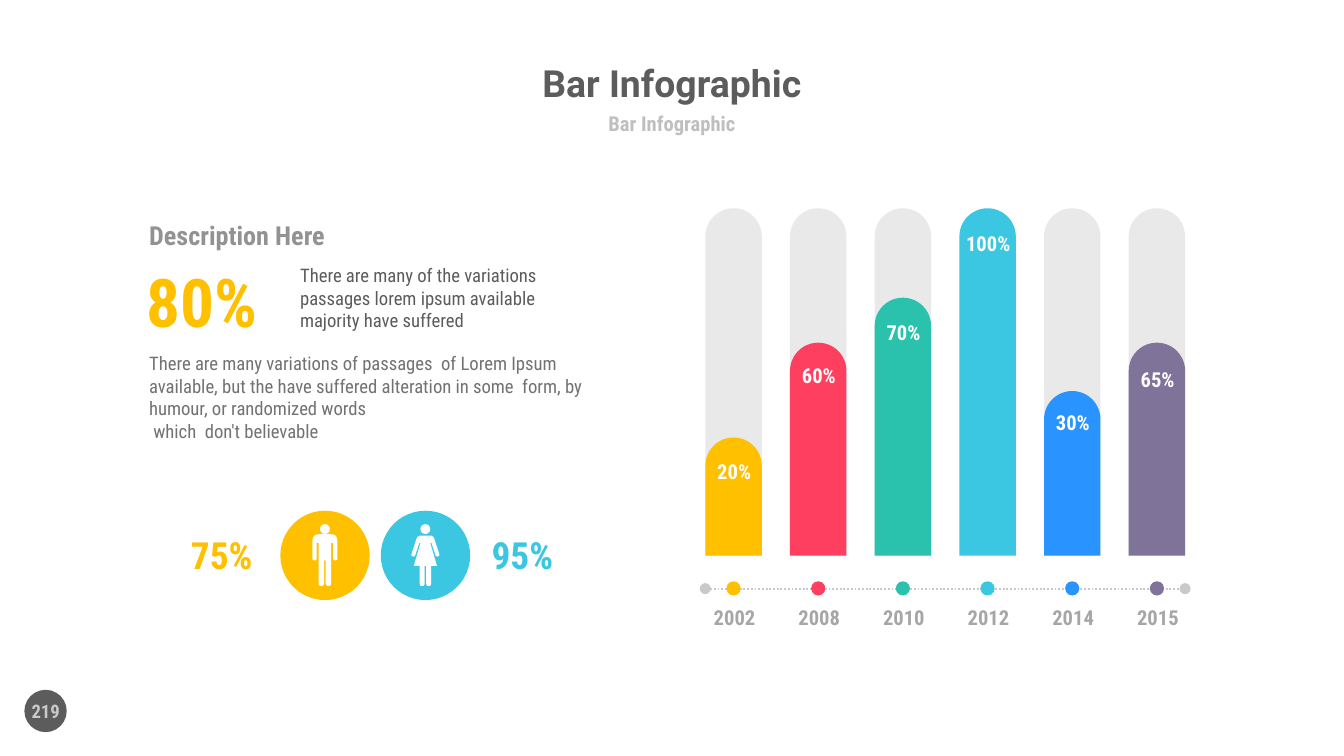
import math

from lxml import etree
from pptx import Presentation
from pptx.dml.color import RGBColor
from pptx.enum import dml, shapes, text
from pptx.oxml import ns
from pptx import util as u

THEME = {
    "yellow": "FFC000", "red": "FF3F5F", "teal": "2AC2AC", "cyan": "3BC7E2",
    "blue": "2993FF", "purple": "7F739A", "white": "FFFFFF", "track": "E9E9E9",
    "dark": "5C5C5C", "body": "727272", "heading": "929292", "year": "A6A6A6",
    "subtitle": "BFBFBF", "axis": "C9C9C9",
    "font": "Roboto Condensed", "title_font": "Roboto",
    "huge": 36, "large": 20, "medium": 14, "label": 11, "small": 10,
}
ANCHOR, ALIGN, KIND = text.MSO_ANCHOR, text.PP_ALIGN, shapes.MSO_SHAPE

prs = Presentation()
prs.slide_width = u.Inches(10)
prs.slide_height = prs.slide_width * 9 // 16
cell = prs.slide_width / 100
s = prs.slides.add_slide(prs.slide_layouts[6])


def draw(kind, box, color):
    sp = s.shapes.add_shape(kind, *[round(v * cell) for v in box])
    sp.shadow.inherit = False
    sp.fill.solid()
    sp.fill.fore_color.rgb = RGBColor.from_string(THEME[color])
    sp.line.fill.background()
    return sp


def write(words, box, size, color, align=ALIGN.CENTER, anchor=ANCHOR.MIDDLE,
          bold=True, font="font"):
    tf = s.shapes.add_textbox(*[round(v * cell) for v in box]).text_frame
    frame = {"word_wrap": True, "vertical_anchor": anchor, "margin_left": 0,
             "margin_right": 0, "margin_top": 0, "margin_bottom": 0}
    for name, value in frame.items():
        setattr(tf, name, value)
    p = tf.paragraphs[0]
    p.text = words
    p.alignment = align
    for r in p.runs:
        for name, value in {"name": THEME[font], "size": u.Pt(THEME[size]), "bold": bold}.items():
            setattr(r.font, name, value)
        r.font.color.rgb = RGBColor.from_string(THEME[color])


draw(KIND.OVAL, (1.82, 51.33, 3.15, 3.15), "dark")
write("219", (0.9, 51.4, 5, 3), "small", "axis")
write("Bar Infographic", (19.15, 4.2, 61.7, 3.9), "large", "dark", font="title_font")
write("Bar Infographic", (27.5, 8.1, 45, 2.2), "label", "subtitle")

left = {"align": ALIGN.LEFT, "anchor": ANCHOR.TOP}
write("Description Here", (11.1, 16.3, 16.9, 2.4), "medium", "heading", **left)
write("80%", (10.9, 19.4, 10.1, 6.1), "huge", "yellow", **left)
write("There are many of the variations passages lorem ipsum available majority have suffered",
      (22.33, 19.65, 21.8, 5), "small", "dark", bold=False, **left)
write("There are many variations of passages  of Lorem Ipsum available, but the have suffered "
      "alteration in some  form, by humour, or randomized words\v which  don't believable",
      (11.1, 26.2, 33.1, 6.7), "small", "body", bold=False, **left)

MAN = [(0.93, 39.75, 0.5), (0.93, 41.7, 0.15), (0.62, 41.7, 0.15), (0.62, 40.4, 0),
       (0.47, 40.4, 0), (0.47, 43.6, 0.2), (0.06, 43.6, 0.2), (0.06, 41.7, 0)]
WOMAN = [(0.58, 39.85, 0.25), (1.08, 41.35, 0.15), (0.8, 41.45, 0.15), (0.45, 40.4, 0),
         (0.36, 40.4, 0), (0.86, 42.1, 0), (0.42, 42.1, 0), (0.42, 43.6, 0.17),
         (0.06, 43.6, 0.17), (0.06, 42.1, 0)]
people = [("75%", "yellow", 24.18, 12.9, MAN), ("95%", "cyan", 31.65, 35.27, WOMAN)]

for share, color, center, label_x, half in people:
    write(share, (label_x, 39.6, 7.2, 3.4), "large", color, anchor=ANCHOR.TOP)
    draw(KIND.OVAL, (center - 3.32, 38, 6.65, 6.65), color)
    draw(KIND.OVAL, (center - 0.37, 39, 0.74, 0.74), "white")
    corners = half + [(-x, y, r) for x, y, r in reversed(half)]
    points = []
    for i, (x, y, r) in enumerate(corners):
        ends = []
        for nx, ny, _ in (corners[i - 1], corners[(i + 1) % len(corners)]):
            cut = r / math.dist((x, y), (nx, ny))
            ends.append((x + (nx - x) * cut, y + (ny - y) * cut))
        (ax, ay), (bx, by) = ends
        for t in (0, 0.25, 0.5, 0.75, 1) if r else (0,):
            k0, k1, k2 = (1 - t) ** 2, 2 * t * (1 - t), t ** 2
            points.append((round((center + k0 * ax + k1 * x + k2 * bx) * cell),
                           round((k0 * ay + k1 * y + k2 * by) * cell)))
    builder = s.shapes.build_freeform(*points[0])
    builder.add_line_segments(points[1:], close=True)
    sp = builder.convert_to_shape()
    sp.shadow.inherit = False
    sp.fill.solid()
    sp.fill.fore_color.rgb = RGBColor.from_string(THEME["white"])
    sp.line.fill.background()

first, pitch, width, top, base, axis_y = 52.48, 6.3, 4.2, 15.5, 41.35, 43.8
bars = [
    ("2002", "20%", "yellow", 32.55, 34.05), ("2008", "60%", "red", 25.5, 26.95),
    ("2010", "70%", "teal", 22.15, 23.75), ("2012", "100%", "cyan", 15.5, 17.15),
    ("2014", "30%", "blue", 29.1, 30.45), ("2015", "65%", "purple", 25.5, 27.25),
]
end = first + pitch * (len(bars) - 1) + width
c = s.shapes.add_connector(shapes.MSO_CONNECTOR.STRAIGHT,
                           *[round(v * cell) for v in (first, axis_y, end, axis_y)])
c.line.color.rgb = RGBColor.from_string(THEME["axis"])
for name, value in {"width": u.Pt(1), "dash_style": dml.MSO_LINE.ROUND_DOT}.items():
    setattr(c.line, name, value)
ln = c._element.spPr.find(ns.qn("a:ln"))
for tag in ("a:headEnd", "a:tailEnd"):
    etree.SubElement(ln, ns.qn(tag), type="oval")
etree.SubElement(c._element.spPr, ns.qn("a:effectLst"))

for i, (year, share, color, bar_top, label_top) in enumerate(bars):
    x = first + i * pitch
    center = x + width / 2
    for y, fill in ((top, "track"), (bar_top, color)):
        if fill == "track" and bar_top == top:
            continue
        sp = draw(KIND.ROUND_2_SAME_RECTANGLE, (x, y, width, base - y), fill)
        sp.adjustments[0], sp.adjustments[1] = 0.5, 0
    write(share, (center - 2.7, label_top, 5.5, 1.9), "label", "white", anchor=ANCHOR.BOTTOM)
    draw(KIND.OVAL, (center - 0.53, axis_y - 0.55, 1.06, 1.06), color)
    write(year, (center - 2.68, 44.95, 5.5, 1.9), "label", "year", anchor=ANCHOR.BOTTOM)

prs.save("out.pptx")
